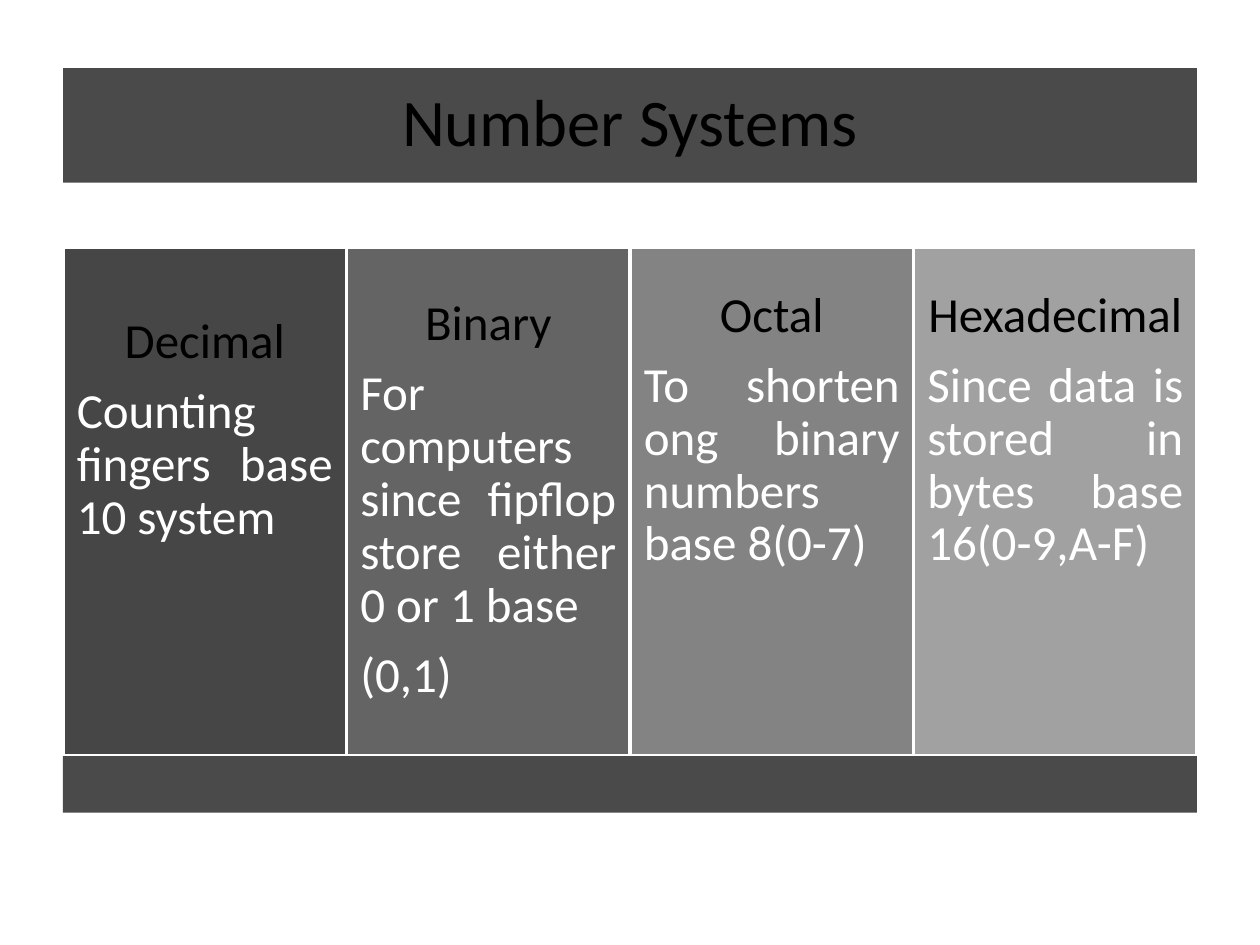
from pptx import Presentation
from pptx.dml.color import RGBColor
from pptx.enum import shapes, text
from pptx.util import Inches, Pt

BLACK = RGBColor(0, 0, 0)
WHITE = RGBColor(255, 255, 255)
BAND = RGBColor(0x4A, 0x4A, 0x4A)
GRAYS = [RGBColor(v, v, v) for v in (0x46, 0x64, 0x83, 0xA1)]

LEFT, WIDTH = 0.5, 9
TOP, HEIGHT = 1.96, 4.04
SIDE = 0.11  # leaves room for the longest heading on one line

# Heading, body paragraphs, top inset
SYSTEMS = [
    ("Decimal", ["Counting fingers base 10 system"], 0.55),
    ("Binary", ["For computers since fipflop store either 0 or 1 base",
                "(0,1)"], 0.41),
    ("Octal", ["To shorten ong binary numbers base 8(0-7)"], 0.34),
    ("Hexadecimal", ["Since data is stored in bytes base 16(0-9,A-F)"], 0.34),
]


def apply(item, form):
    for name, value in form.items():
        setattr(item, name, value)


def set_frame(frame, anchor, side, top):
    apply(frame, dict(
        word_wrap=True, auto_size=text.MSO_AUTO_SIZE.NONE,
        vertical_anchor=anchor, margin_left=Inches(side),
        margin_right=Inches(side), margin_top=Inches(top),
        margin_bottom=Inches(side)))


def write(para, words, size, color, align, after=0):
    apply(para, dict(alignment=align, line_spacing=0.9,
                     space_before=Pt(0), space_after=Pt(after)))
    run = para.add_run()
    run.text = words
    apply(run.font, dict(name="Calibri", size=Pt(size)))
    run.font.color.rgb = color


def add_box(slide, left, top, width, height, color, edge=None):
    box = slide.shapes.add_shape(
        shapes.MSO_SHAPE.RECTANGLE, Inches(left), Inches(top),
        Inches(width), Inches(height))
    box.shadow.inherit = False
    box.fill.solid()
    box.fill.fore_color.rgb = color
    if edge is None:
        box.line.fill.background()
    else:
        box.line.color.rgb = edge
        box.line.width = Pt(2)
    return box


def add_title(slide, words):
    title = slide.shapes.title
    apply(title, dict(left=Inches(LEFT), top=Inches(0.54),
                      width=Inches(WIDTH), height=Inches(0.91)))
    title.fill.solid()
    title.fill.fore_color.rgb = BAND
    set_frame(title.text_frame, text.MSO_ANCHOR.MIDDLE, 0.16, 0.16)
    write(title.text_frame.paragraphs[0], words, 38, BLACK,
          text.PP_ALIGN.CENTER)


def add_column(slide, left, width, color, head, body, inset):
    box = add_box(slide, left, TOP, width, HEIGHT, color, WHITE)
    frame = box.text_frame
    set_frame(frame, text.MSO_ANCHOR.TOP, SIDE, inset)
    write(frame.paragraphs[0], head, 28, BLACK, text.PP_ALIGN.CENTER, 9.8)
    for words in body:
        write(frame.add_paragraph(), words, 28, WHITE,
              text.PP_ALIGN.JUSTIFY, 9.8)


def main():
    deck = Presentation()
    deck.slide_width, deck.slide_height = Inches(10), Inches(7.5)
    slide = deck.slides.add_slide(deck.slide_layouts[5])

    # Title banner
    add_title(slide, "Number Systems")

    # Four equal columns
    width = WIDTH / len(SYSTEMS)
    for i, (color, system) in enumerate(zip(GRAYS, SYSTEMS)):
        add_column(slide, LEFT + i * width, width, color, *system)

    # Footer band
    add_box(slide, LEFT, TOP + HEIGHT, WIDTH, 0.45, BAND)
    deck.save("out.pptx")


main()
